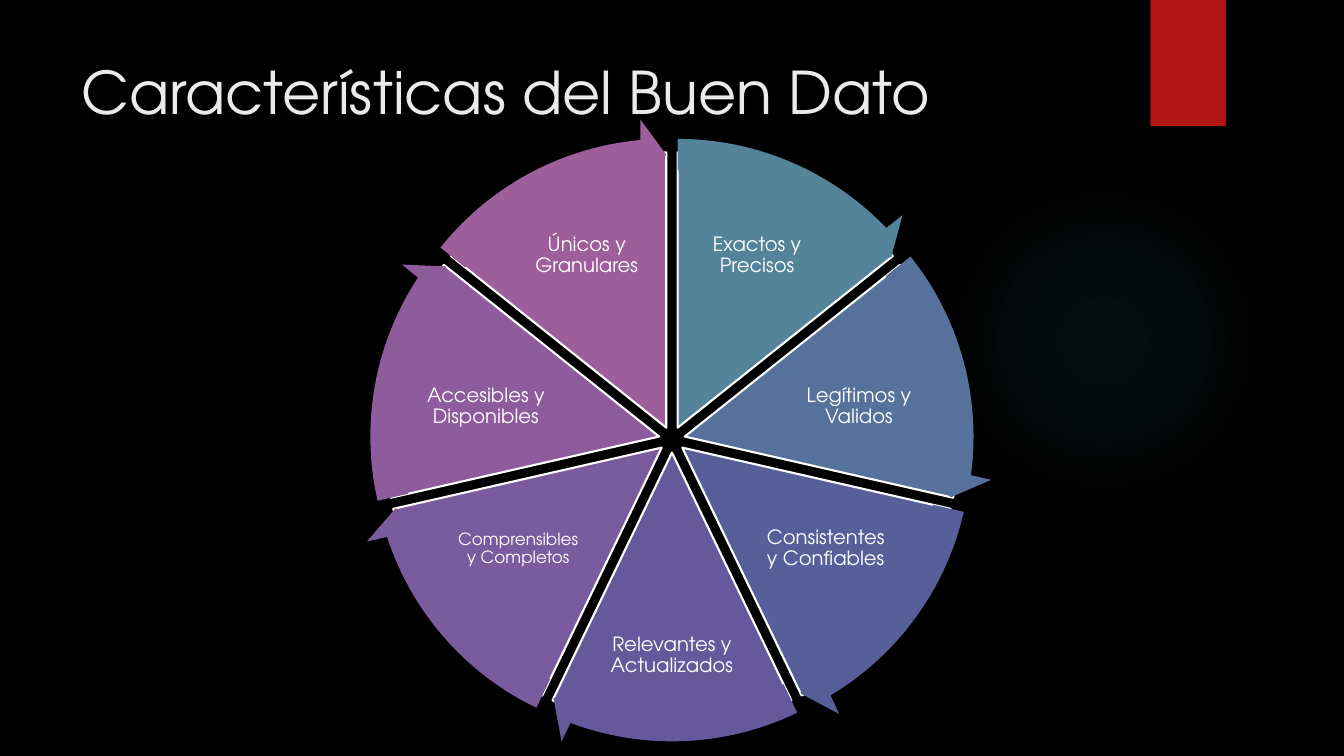
from dataclasses import dataclass
from math import cos, pi, sin

from pptx import Presentation
from pptx.dml.color import RGBColor
from pptx.enum.shapes import MSO_SHAPE
from pptx.enum.text import MSO_ANCHOR, PP_ALIGN
from pptx.oxml import parse_xml
from pptx.oxml.ns import nsdecls, qn
from pptx.shapes.autoshape import Shape
from pptx.slide import Slide
from pptx.util import Inches, Pt

FONT = "TeX Gyre Adventor"
COLORS = {
    "back": "000000",
    "tab": "B01513",
    "glow": "50B9C1",
    "title": "EBEBEB",
    "white": "FFFFFF",
}

MID_X, MID_Y = 6.665, 4.36
GAP = 0.13         # distance of each slice from the middle of the wheel
PIE = 5.46
ARROW = 6.14
FULL = 216         # a whole turn in adjustment units
TOP = 162          # twelve o'clock in adjustment units
HEAD = 3.275       # angle taken by an arrowhead


@dataclass
class Slice:
    text: str
    fill: str
    box: tuple[float, float, float, float]
    size: int = 14


SLICES = [
    Slice("Exactos y Precisos", "54849A", (6.86, 2.02, 1.3, 1.04)),
    Slice("Legítimos y Validos", "56719B", (7.77, 3.58, 1.5, 0.91)),
    Slice("Consistentes y Confiables", "575F9B", (7.54, 4.94, 1.3, 1.01)),
    Slice("Relevantes y Actualizados", "65599C", (6.03, 6.05, 1.27, 0.91)),
    Slice("Comprensibles y Completos", "7A5B9D", (4.49, 4.94, 1.3, 1.01), 12),
    Slice("Accesibles y Disponibles", "8E5C9D", (4.07, 3.58, 1.5, 0.91)),
    Slice("Únicos y Granulares", "9E5E9B", (5.17, 2.02, 1.3, 1.04)),
]


def add_form(slide: Slide, kind: MSO_SHAPE, box: tuple, fill: str,
             adjust: tuple = ()) -> Shape:
    """Add a flat preset shape without an outline."""
    form = slide.shapes.add_shape(kind, *map(Inches, box))
    form.shadow.inherit = False
    form.fill.solid()
    form.fill.fore_color.rgb = RGBColor.from_string(fill)
    form.line.fill.background()
    for i, value in enumerate(adjust):
        form.adjustments[i] = value
    return form


def add_text(slide: Slide, text: str, box: tuple, size: int, color: str) -> Shape:
    label = slide.shapes.add_textbox(*map(Inches, box))
    label.text_frame.word_wrap = True
    run = label.text_frame.paragraphs[0].add_run()
    run.text = text
    run.font.name = FONT
    run.font.size = Pt(size)
    run.font.color.rgb = RGBColor.from_string(color)
    return label


def add_glow(slide: Slide) -> None:
    form = add_form(slide, MSO_SHAPE.OVAL, (9.41, 1.83, 3.08, 3.08), COLORS["glow"])
    stops = "".join(
        f'<a:gs pos="{pos * 1000}"><a:srgbClr val="{COLORS["glow"]}">'
        f'<a:alpha val="{alpha * 1000}"/></a:srgbClr></a:gs>'
        for pos, alpha in ((0, 7), (36, 6), (69, 0), (100, 0))
    )
    grad = parse_xml(
        f'<a:gradFill {nsdecls("a")}><a:gsLst>{stops}</a:gsLst><a:path path="circle">'
        '<a:fillToRect l="50000" t="50000" r="50000" b="50000"/></a:path></a:gradFill>'
    )
    props = form.element.spPr
    props.replace(props.find(qn("a:solidFill")), grad)


def square(i: int, size: float) -> tuple:
    """Box of slice i, pushed outwards along its middle angle."""
    angle = 2 * pi * (i + 0.5) / len(SLICES) - pi / 2
    return (MID_X + GAP * cos(angle) - size / 2,
            MID_Y + GAP * sin(angle) - size / 2, size, size)


def turn(i: int) -> float:
    """Angle at which slice i starts."""
    return (TOP + i * FULL / len(SLICES)) % FULL


def add_slice(slide: Slide, i: int, part: Slice) -> None:
    pie = add_form(slide, MSO_SHAPE.PIE, square(i, PIE), part.fill,
                   (turn(i), turn(i + 1)))
    pie.line.color.rgb = RGBColor.from_string(COLORS["white"])
    pie.line.width = Pt(1.5)

    label = add_text(slide, part.text, part.box, part.size, COLORS["white"])
    frame = label.text_frame
    frame.vertical_anchor = MSO_ANCHOR.MIDDLE
    frame.margin_left = frame.margin_right = Inches(0.02)
    frame.margin_top = frame.margin_bottom = Inches(0.02)
    frame.paragraphs[0].alignment = PP_ALIGN.CENTER
    frame.paragraphs[0].line_spacing = 0.9


def add_arrow(slide: Slide, i: int, part: Slice) -> None:
    add_form(slide, MSO_SHAPE.CIRCULAR_ARROW, square(i, ARROW), part.fill,
             (0.051, HEAD, turn(i + 1) - HEAD, turn(i), 0.059))


def main() -> None:
    deck = Presentation()
    deck.slide_width, deck.slide_height = Inches(13.33), Inches(7.5)
    slide = deck.slides.add_slide(deck.slide_layouts[6])
    slide.background.fill.solid()
    slide.background.fill.fore_color.rgb = RGBColor.from_string(COLORS["back"])

    add_glow(slide)
    add_form(slide, MSO_SHAPE.RECTANGLE, (11.41, 0, 0.75, 1.25), COLORS["tab"])
    add_text(slide, "Características del Buen Dato", (0.71, 0.5, 10.29, 1.53),
             42, COLORS["title"])
    for draw in (add_slice, add_arrow):
        for i, part in enumerate(SLICES):
            draw(slide, i, part)
    deck.save("out.pptx")


if __name__ == "__main__":
    main()
